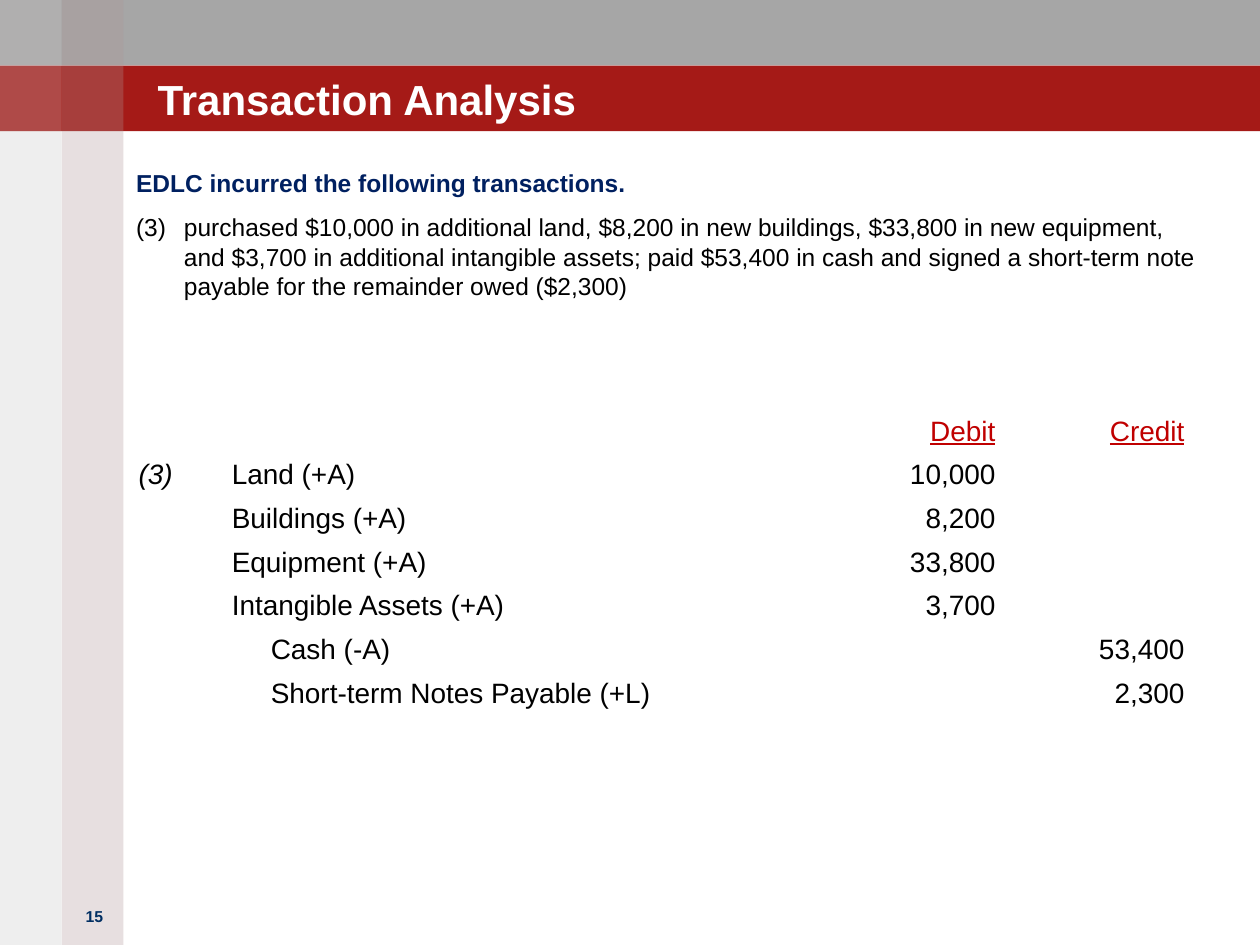
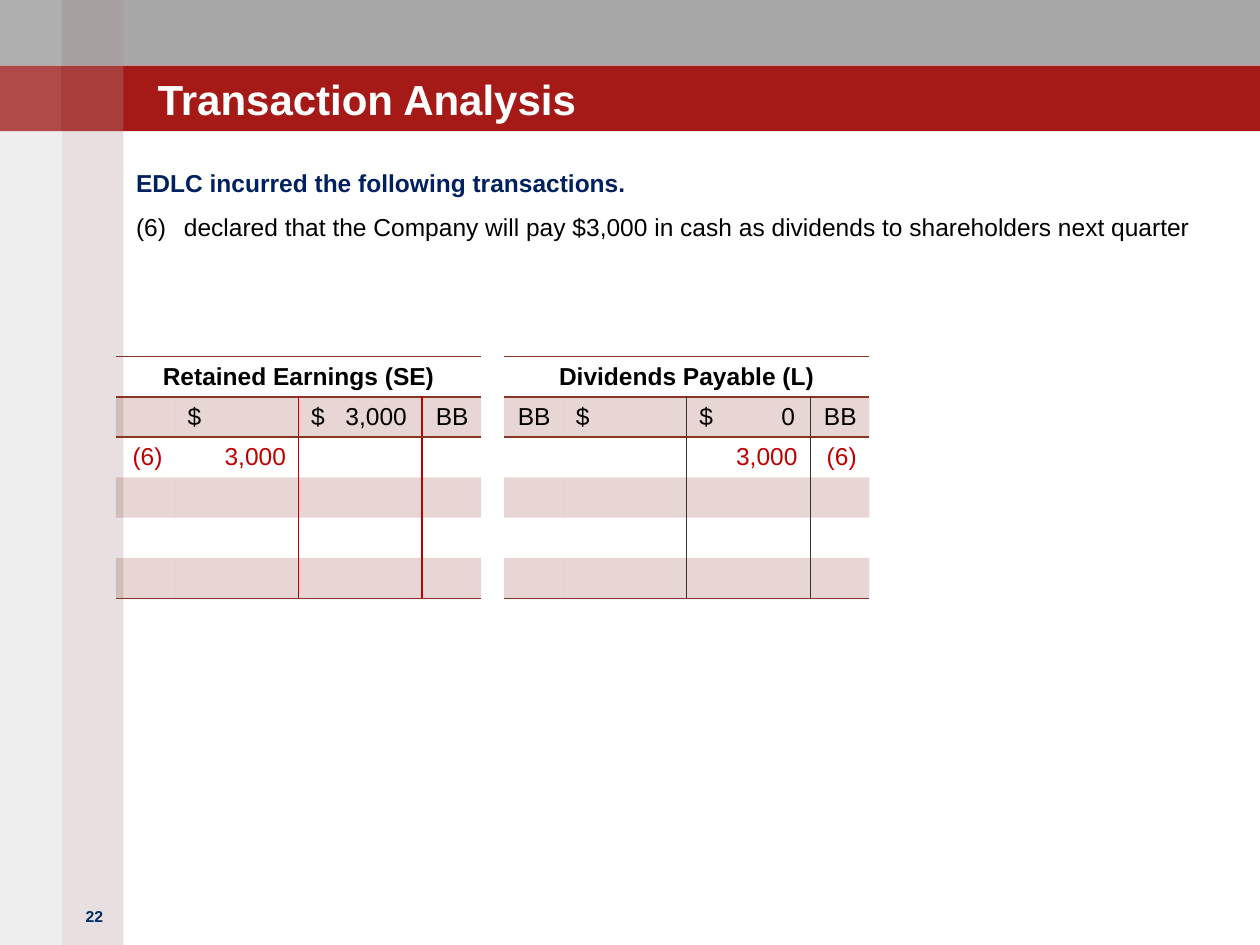
from lxml import etree
from pptx import Presentation
from pptx.dml.color import RGBColor
from pptx.enum.shapes import MSO_SHAPE
from pptx.enum.text import MSO_ANCHOR, PP_ALIGN
from pptx.oxml.ns import qn
from pptx.util import Inches, Pt

RECTANGLE = MSO_SHAPE.RECTANGLE
LEFT, CENTER, RIGHT = PP_ALIGN.LEFT, PP_ALIGN.CENTER, PP_ALIGN.RIGHT
TOP, BOTTOM, MIDDLE = MSO_ANCHOR.TOP, MSO_ANCHOR.BOTTOM, MSO_ANCHOR.MIDDLE

FONT = "Arial"
BLACK = RGBColor(0x00, 0x00, 0x00)
WHITE = RGBColor(0xFF, 0xFF, 0xFF)
GREY_BAND = RGBColor(0xA6, 0xA6, 0xA6)
RED_BAND = RGBColor(0xA5, 0x1A, 0x17)
ROSE_STRIP = RGBColor(0xA0, 0x82, 0x84)
GREY_STRIP = RGBColor(0x93, 0x8F, 0x8F)
NAVY = RGBColor(0x00, 0x20, 0x60)
NUMBER_BLUE = RGBColor(0x00, 0x2E, 0x62)
RED = RGBColor(0xC0, 0x00, 0x00)
BROWN = RGBColor(0x87, 0x36, 0x24)
CHARCOAL = RGBColor(0x33, 0x33, 0x33)

BAND_HEIGHT = 0.52
STRIP_WIDTH = 0.49
NO_TABLE_STYLE = "{2D5ABB26-0587-4C30-8999-92F81FD0307C}"
JOURNAL_COLUMNS = (0.74, 5.01, 1.25, 1.5)
ACCOUNT_COLUMNS = (0.47, 0.98, 0.98, 0.47)


def write(paragraph, text, size=14, color=BLACK, bold=False, italic=False,
          underline=False, align=LEFT):
    """Write formatted text, or keep the line size of an empty paragraph."""
    paragraph.alignment = align
    if not text:
        etree.SubElement(paragraph._p, qn("a:endParaRPr"), sz=str(size * 100))
        return
    run = paragraph.add_run()
    run.text = text
    font = run.font
    font.name, font.size, font.color.rgb = FONT, Pt(size), color
    font.bold, font.italic, font.underline = bold, italic, underline


def set_fill(fill, properties, color, opacity=100):
    """Fill with a solid colour of the given opacity in percent."""
    fill.solid()
    fill.fore_color.rgb = color
    if opacity < 100:
        color_element = properties.find(qn("a:solidFill"))[0]
        etree.SubElement(color_element, qn("a:alpha"), val=str(opacity * 1000))


def add_rectangle(slide, box, color, opacity=100):
    """Add a plain rectangle without outline or shadow."""
    shape = slide.shapes.add_shape(RECTANGLE, *map(Inches, box))
    shape.shadow.inherit = False
    shape.line.fill.background()
    set_fill(shape.fill, shape._element.spPr, color, opacity)


def add_text_frame(slide, box, anchor=TOP, inset=0):
    """Add a wrapping text box and return its text frame."""
    frame = slide.shapes.add_textbox(*map(Inches, box)).text_frame
    frame.word_wrap = True
    frame.vertical_anchor = anchor
    frame.margin_left = frame.margin_right = Inches(inset)
    frame.margin_top = frame.margin_bottom = Inches(inset)
    return frame


def add_background(slide):
    """Draw the bands, the side strips and the lighter tiles where they cross."""
    for row, color in enumerate((GREY_BAND, RED_BAND)):
        add_rectangle(slide, (0, row * BAND_HEIGHT, 10, BAND_HEIGHT), color)
    strips = ((GREY_STRIP, 15, 15), (ROSE_STRIP, 25, 5))
    for column, (color, opacity, tile_opacity) in enumerate(strips):
        left = column * STRIP_WIDTH
        add_rectangle(slide, (left, 0, STRIP_WIDTH, 7.5), color, opacity)
        for row in range(2):
            tile = (left, row * BAND_HEIGHT, STRIP_WIDTH, BAND_HEIGHT)
            add_rectangle(slide, tile, WHITE, tile_opacity)


def add_transaction(slide, box, number, text):
    """Write the heading and the numbered transaction."""
    frame = add_text_frame(slide, box)
    heading = frame.paragraphs[0]
    write(heading, "EDLC incurred the following transactions.", color=NAVY, bold=True)
    item = frame.add_paragraph()
    write(item, text)
    for paragraph in (heading, item):
        paragraph.space_before, paragraph.space_after = Pt(2.8), Pt(6)
    properties = item._p.get_or_add_pPr()
    properties.set("marL", str(Inches(0.38)))
    properties.set("indent", str(Inches(-0.38)))
    etree.SubElement(properties, qn("a:buFont"), typeface=FONT)
    etree.SubElement(properties, qn("a:buAutoNum"), type="arabicParenBoth",
                     startAt=str(number))


def add_transaction_slide(presentation, page, number, text):
    """Add a slide with the shared frame, title and transaction."""
    slide = presentation.slides.add_slide(presentation.slide_layouts[6])
    add_background(slide)
    page_frame = add_text_frame(slide, (0.5, 7.15, 0.5, 0.3), inset=0.05)
    write(page_frame.paragraphs[0], page, size=9, color=NUMBER_BLUE, bold=True,
          align=CENTER)
    title_frame = add_text_frame(slide, (1.25, 0.31, 7.92, 0.67), BOTTOM)
    write(title_frame.paragraphs[0], "Transaction Analysis", size=24, color=WHITE,
          bold=True)
    add_transaction(slide, (1.08, 1.33, 8.42, 5.83), number, text)
    return slide


def add_plain_table(slide, left, top, widths, row_count, row_height):
    """Add a table with no style and tight cells."""
    frame = slide.shapes.add_table(
        row_count, len(widths), Inches(left), Inches(top),
        Inches(sum(widths)), Inches(row_count * row_height))
    table = frame.table
    table.first_row = table.horz_banding = False
    table._tbl.tblPr.find(qn("a:tableStyleId")).text = NO_TABLE_STYLE
    for column, width in zip(table.columns, widths):
        column.width = Inches(width)
    for row in table.rows:
        row.height = Inches(row_height)
    for cell in table.iter_cells():
        cell.margin_left = cell.margin_right = Inches(0.1)
        cell.margin_top = cell.margin_bottom = Inches(0.04)
        cell.vertical_anchor = MIDDLE
    return table


def add_journal(slide, left, top, number, entries):
    """Add the journal entry, with credited accounts indented."""
    rows = [("", "", "Debit", "Credit")]
    rows += [("", *entry) for entry in entries]
    rows[1] = (number, *entries[0])
    table = add_plain_table(slide, left, top, JOURNAL_COLUMNS, len(rows), 0.347)
    for row, values in enumerate(rows):
        for column, value in enumerate(values):
            paragraph = table.cell(row, column).text_frame.paragraphs[0]
            write(paragraph, value, size=16, color=BLACK if row else RED,
                  italic=column == 0, underline=row == 0,
                  align=RIGHT if column > 1 else LEFT)
            if column == 1 and values[3] and row:
                paragraph._p.get_or_add_pPr().set("marL", str(Inches(0.31)))


def add_border(cell, side, color, width):
    """Draw one side of a cell; sides must come in the order L, R, T, B."""
    line = etree.SubElement(cell._tc.get_or_add_tcPr(), qn(f"a:ln{side}"),
                            w=str(Pt(width)))
    solid = etree.SubElement(line, qn("a:solidFill"))
    etree.SubElement(solid, qn("a:srgbClr"), val=str(color))


def add_account(slide, left, top, name, postings, divider):
    """Add a T-account; postings map (row, column) to text and alignment."""
    row_count = 6
    table = add_plain_table(slide, left, top, ACCOUNT_COLUMNS, row_count, 0.32)
    table.cell(0, 0).merge(table.cell(0, 3))
    write(table.cell(0, 0).text_frame.paragraphs[0], name, bold=True, align=CENTER)
    for row in range(row_count):
        for column in range(4):
            cell = table.cell(row, column)
            if row and column > 1:
                add_border(cell, "L", *divider)
            if row and column in (1, 2):
                add_border(cell, "R", *divider)
            if row < 2:
                add_border(cell, "T", BROWN, 1)
            if row in (0, row_count - 1):
                add_border(cell, "B", BROWN, 1)
            if row % 2:
                set_fill(cell.fill, cell._tc.tcPr, BROWN, 20)
            else:
                cell.fill.background()
            if row == 0:
                continue
            text, align = postings.get((row, column), ("", LEFT))
            paragraph = cell.text_frame.paragraphs[0]
            write(paragraph, text, color=RED if row == 2 else BLACK, align=align)
            if "\t" in text:
                tabs = etree.SubElement(paragraph._p.get_or_add_pPr(), qn("a:tabLst"))
                etree.SubElement(tabs, qn("a:tab"), pos=str(Inches(0.76)), algn="r")


def build_purchase_slide(presentation):
    """Build the slide on the purchase of assets."""
    slide = add_transaction_slide(
        presentation, "15", 3,
        "purchased $10,000 in additional land, $8,200 in new buildings, $33,800 in "
        "new equipment, and $3,700 in additional intangible assets; paid $53,400 in "
        "cash and signed a short-term note payable for the remainder owed ($2,300)")
    add_journal(slide, 1, 3.25, "(3)", [
        ("Land (+A)", "10,000", ""),
        ("Buildings (+A)", "8,200", ""),
        ("Equipment (+A)", "33,800", ""),
        ("Intangible Assets (+A)", "3,700", ""),
        ("Cash (-A)", "", "53,400"),
        ("Short-term Notes Payable (+L)", "", "2,300"),
    ])


def build_dividend_slide(presentation):
    """Build the slide on the declared dividends."""
    slide = add_transaction_slide(
        presentation, "22", 6,
        "declared that the Company will pay $3,000 in cash as dividends to "
        "shareholders next quarter")
    add_account(slide, 0.92, 2.83, "Retained Earnings (SE)", {
        (1, 1): ("$", LEFT), (1, 2): ("$\t3,000", LEFT), (1, 3): ("BB", RIGHT),
        (2, 0): ("(6)", RIGHT), (2, 1): ("3,000", RIGHT),
    }, (RED, 1))
    add_account(slide, 4, 2.83, "Dividends Payable (L)", {
        (1, 0): ("BB", RIGHT), (1, 1): ("$", LEFT), (1, 2): ("$\t0", LEFT),
        (1, 3): ("BB", RIGHT), (2, 2): ("3,000", RIGHT), (2, 3): ("(6)", RIGHT),
    }, (CHARCOAL, 0.5))


def main():
    """Build and save the presentation."""
    presentation = Presentation()
    presentation.slide_width, presentation.slide_height = Inches(10), Inches(7.5)
    build_purchase_slide(presentation)
    build_dividend_slide(presentation)
    presentation.save("out.pptx")


if __name__ == "__main__":
    main()
